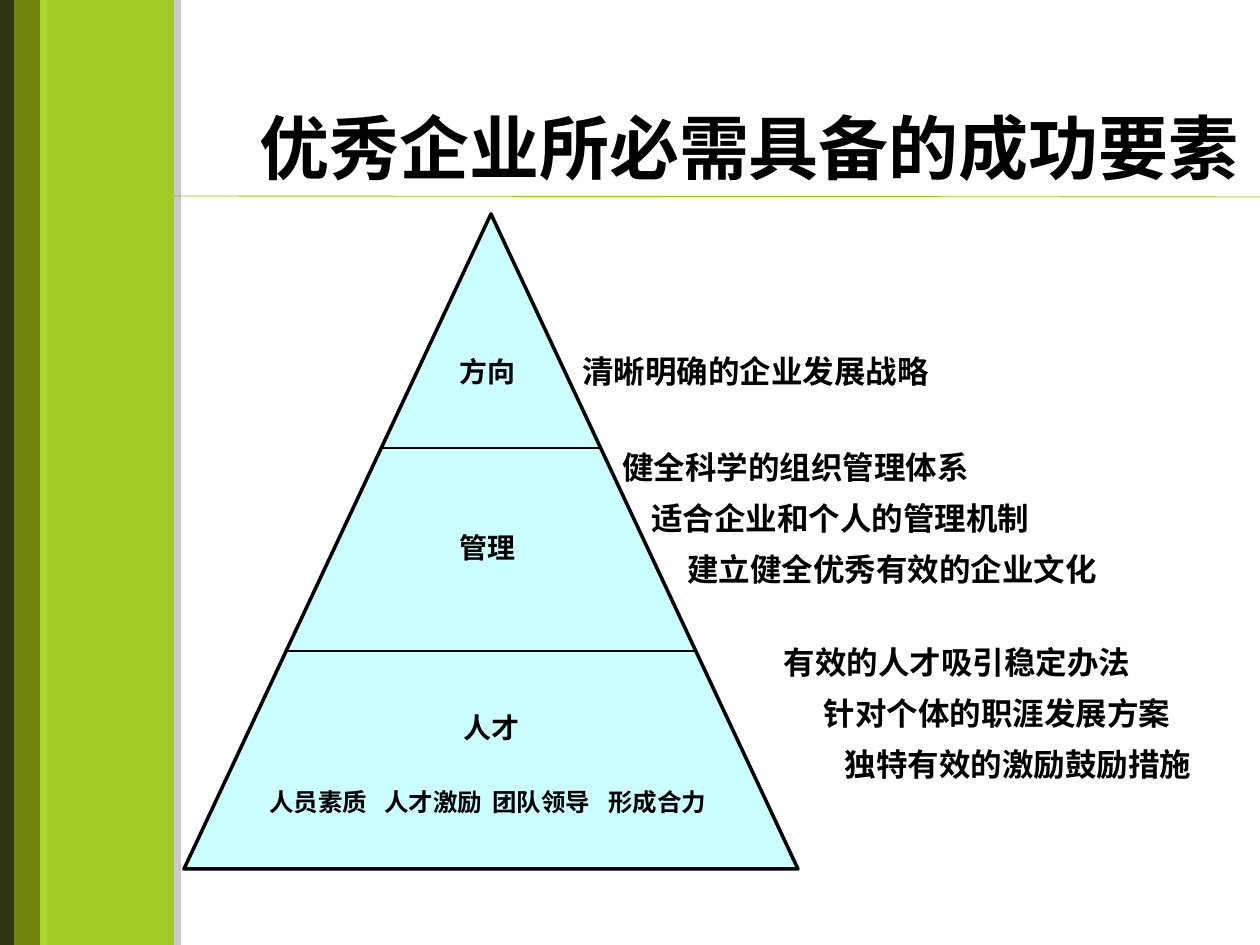
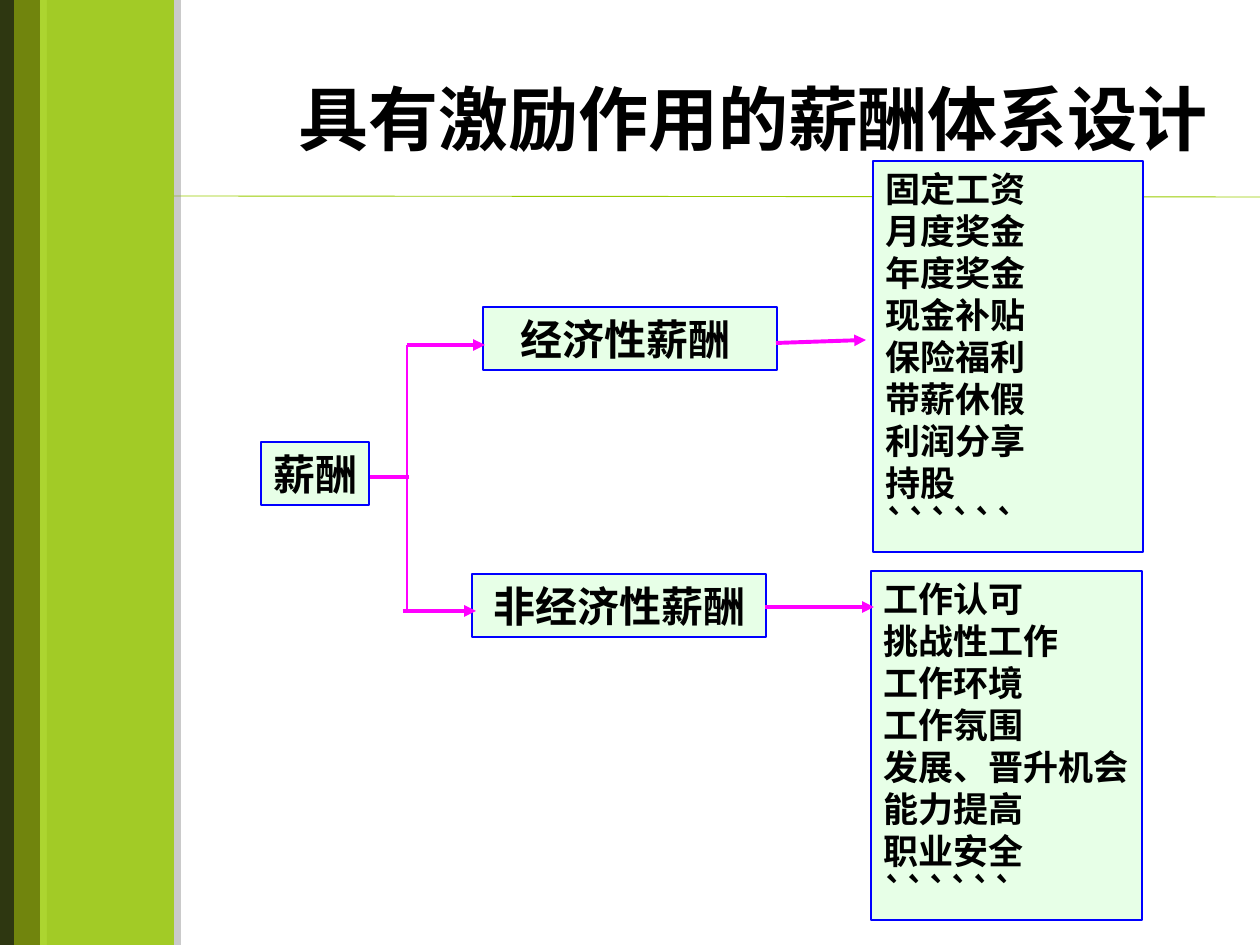
import pptx
import pptx.util
import pptx.dml.color
import pptx.enum.shapes
import pptx.enum.text
import pptx.oxml
import pptx.oxml.ns

PX = 914400 / 126
WIDTH, HEIGHT = 1260, 945
COLORS = {
    "leaf": "99CC00", "olive": "71850D", "forest": "2E3711", "shade": "808080",
    "ink": "000000", "pyramid": "CCFFFF", "box": "E7FFE7", "border": "0000FF",
    "arrow": "FF00FF",
}
SERIF, SANS = "Times New Roman", "Noto Sans CJK SC"
LINE_HEIGHT = 1.2
ALIGN = pptx.enum.text.PP_ALIGN
ANCHOR = pptx.enum.text.MSO_ANCHOR
SHAPE = pptx.enum.shapes.MSO_SHAPE


# ---- Shared helpers ----
def px(*lengths):
    return [pptx.util.Emu(round(length * PX)) for length in lengths]


def rgb(name):
    return pptx.dml.color.RGBColor.from_string(COLORS[name])


def xml(body):
    return pptx.oxml.parse_xml(body.replace(
        ">" if "/>" not in body.split(">")[0] + ">" else "/>",
        f' {pptx.oxml.ns.nsdecls("a")}' + (
            ">" if "/>" not in body.split(">")[0] + ">" else "/>"), 1))


def write(frame, lines, size, font, align=ALIGN.LEFT, anchor=ANCHOR.TOP,
          wrap=True, spacing=1.0, indents=(), tabs=()):
    frame.auto_size = pptx.enum.text.MSO_AUTO_SIZE.NONE
    frame.word_wrap = wrap
    frame.vertical_anchor = anchor
    for index, line in enumerate(lines):
        paragraph = frame.paragraphs[0] if index == 0 else frame.add_paragraph()
        paragraph.alignment = align
        paragraph.space_before = pptx.util.Pt(0)
        paragraph.line_spacing = pptx.util.Pt(round(size * LINE_HEIGHT * spacing, 1))
        properties = paragraph._p.get_or_add_pPr()
        if indents:
            properties.set("marL", str(px(indents[index])[0]))
        if tabs:
            stops = "".join(f'<a:tab pos="{stop}" algn="l"/>' for stop in px(*tabs))
            properties.append(xml(f"<a:tabLst>{stops}</a:tabLst>"))
        run = paragraph.add_run()
        run.text = line
        run.font.name = font
        run.font.size = pptx.util.Pt(size)
        run.font.bold = True
        run.font.color.rgb = rgb("ink")


def add_label(slide, box, lines, size, **style):
    label = slide.shapes.add_textbox(*px(*box))
    write(label.text_frame, lines, size, SERIF, **style)


def add_block(slide, kind, box, fill, border=None, weight=0.75):
    block = slide.shapes.add_shape(kind, *px(*box))
    block.shadow.inherit = False
    block.fill.solid()
    block.fill.fore_color.rgb = rgb(fill)
    if border:
        block.line.color.rgb = rgb(border)
        block.line.width = pptx.util.Pt(weight)
    else:
        block.line.fill.background()
    return block


def add_line(slide, start, end, color, weight, arrow=False):
    line = slide.shapes.add_connector(
        pptx.enum.shapes.MSO_CONNECTOR.STRAIGHT, *px(*start, *end))
    line.line.color.rgb = rgb(color)
    line.line.width = pptx.util.Pt(weight)
    if arrow:
        line.line._get_or_add_ln().append(xml('<a:tailEnd type="triangle"/>'))
    line._element.spPr.append(xml("<a:effectLst/>"))


# ---- Slide frame: side bands, rule and title ----
def add_bands(slide):
    add_line(slide, (174, 196), (WIDTH, 197), "leaf", 0.5)
    leaf = add_block(slide, SHAPE.RECTANGLE, (40, 0, 134, HEIGHT), "leaf")
    properties = leaf._element.spPr
    tint = properties.find(".//" + pptx.oxml.ns.qn("a:srgbClr"))
    tint.append(xml('<a:alpha val="81000"/>'))
    properties.find(pptx.oxml.ns.qn("a:effectLst")).append(xml(
        '<a:outerShdw blurRad="0" dist="50800" dir="0">'
        f'<a:srgbClr val="{COLORS["shade"]}"><a:alpha val="50000"/></a:srgbClr>'
        "</a:outerShdw>"))
    add_block(slide, SHAPE.RECTANGLE, (10, 0, 30, HEIGHT), "olive")
    add_block(slide, SHAPE.RECTANGLE, (0, 0, 14, HEIGHT), "forest")


def add_titled_slide(deck, title, box, font):
    slide = deck.slides.add_slide(deck.slide_layouts[5])
    add_bands(slide)
    heading = slide.shapes.title
    heading.left, heading.top, heading.width, heading.height = px(*box)
    write(heading.text_frame, [title], 40, font, align=ALIGN.CENTER)
    return slide


# ---- Slide 1: pyramid of success factors ----
def add_pyramid(slide, box):
    left, top, width, height = box
    middle = left + width / 2
    add_block(slide, SHAPE.ISOSCELES_TRIANGLE, box, "pyramid", "ink", 2)
    for depth in (234, 437):
        half = width / 2 * depth / height
        add_line(slide, (middle - half, top + depth), (middle + half, top + depth),
                 "ink", 0.75)
    for level, shift, depth in (("方向", -4, 134), ("管理", -4, 310), ("人才", 0, 490)):
        add_label(slide, (middle + shift - 40, top + depth, 81, 47), [level], 16,
                  align=ALIGN.CENTER, anchor=ANCHOR.MIDDLE, wrap=False)
    add_label(slide, (left + 73, top + 566, 480, 43),
              ["人员素质\t人才激励\t团队领导\t形成合力"], 14,
              anchor=ANCHOR.MIDDLE, tabs=(115, 223, 339))


def add_factors(slide, box):
    left, top, width, height = box
    add_label(slide, (left, top, 423, 102), ["清晰明确的企业发展战略"], 18,
              align=ALIGN.CENTER, spacing=1.35)
    add_label(slide, (left + 66, top + 95, 601, 166),
              ["健全科学的组织管理体系", "适合企业和个人的管理机制", "建立健全优秀有效的企业文化"],
              18, anchor=ANCHOR.MIDDLE, spacing=1.35, indents=(0, 29, 65))
    add_label(slide, (left + 110, top + height - 217, width - 110, 217),
              ["有效的人才吸引稳定办法", "针对个体的职涯发展方案", "独特有效的激励鼓励措施"],
              18, align=ALIGN.CENTER, anchor=ANCHOR.MIDDLE, spacing=1.35,
              indents=(0, 80, 122))


def build_success_slide(deck):
    slide = add_titled_slide(deck, "优秀企业所必需具备的成功要素",
                             (238, 98, 1022, 92), SERIF)
    add_factors(slide, (544, 333, 716, 482))
    add_pyramid(slide, (184, 214, 614, 655))


# ---- Slide 2: pay system tree ----
def add_pay_box(slide, box, lines, size, **style):
    pay_box = add_block(slide, SHAPE.RECTANGLE, box, "box", "border")
    write(pay_box.text_frame, lines, size, SANS, **style)


def add_pay_tree(slide, box):
    left, top = box[:2]

    def at(x, y, *size):
        return (left + x, top + y, *size)

    # Root, branches and their components
    add_pay_box(slide, at(0, 281, 108, 63), ["薪酬"], 24, wrap=False)
    add_pay_box(slide, at(222, 146, 294, 63), ["经济性薪酬 "], 24, align=ALIGN.CENTER)
    add_pay_box(slide, at(211, 413, 294, 63), ["非经济性薪酬"], 24, align=ALIGN.CENTER)
    add_pay_box(slide, at(612, 0, 270, 391),
                ["固定工资", "月度奖金", "年度奖金", "现金补贴", "保险福利",
                 "带薪休假", "利润分享", "持股", "``````"], 20)
    add_pay_box(slide, at(610, 410, 271, 349),
                ["工作认可", "挑战性工作", "工作环境", "工作氛围", "发展、晋升机会",
                 "能力提高", "职业安全", "``````"], 20, wrap=False)

    # Arrows into branches and components
    for start, end in (((515, 182), (605, 179)), ((504, 446), (613, 446)),
                       ((146, 184), (224, 184)), ((142, 450), (215, 450))):
        add_line(slide, at(*start), at(*end), "arrow", 2.25, arrow=True)
    # Trunk and stem
    add_line(slide, at(146, 184), at(146, 452), "arrow", 0.75)
    add_line(slide, at(109, 316), at(148, 316), "arrow", 2.25)


def build_pay_slide(deck):
    slide = add_titled_slide(deck, "具有激励作用的薪酬体系设计 ",
                             (262, 69, 998, 97), SANS)
    add_pay_tree(slide, (261, 161, 882, 759))


def main():
    deck = pptx.Presentation()
    deck.slide_width, deck.slide_height = px(WIDTH, HEIGHT)
    build_success_slide(deck)
    build_pay_slide(deck)
    deck.save("out.pptx")


if __name__ == "__main__":
    main()
